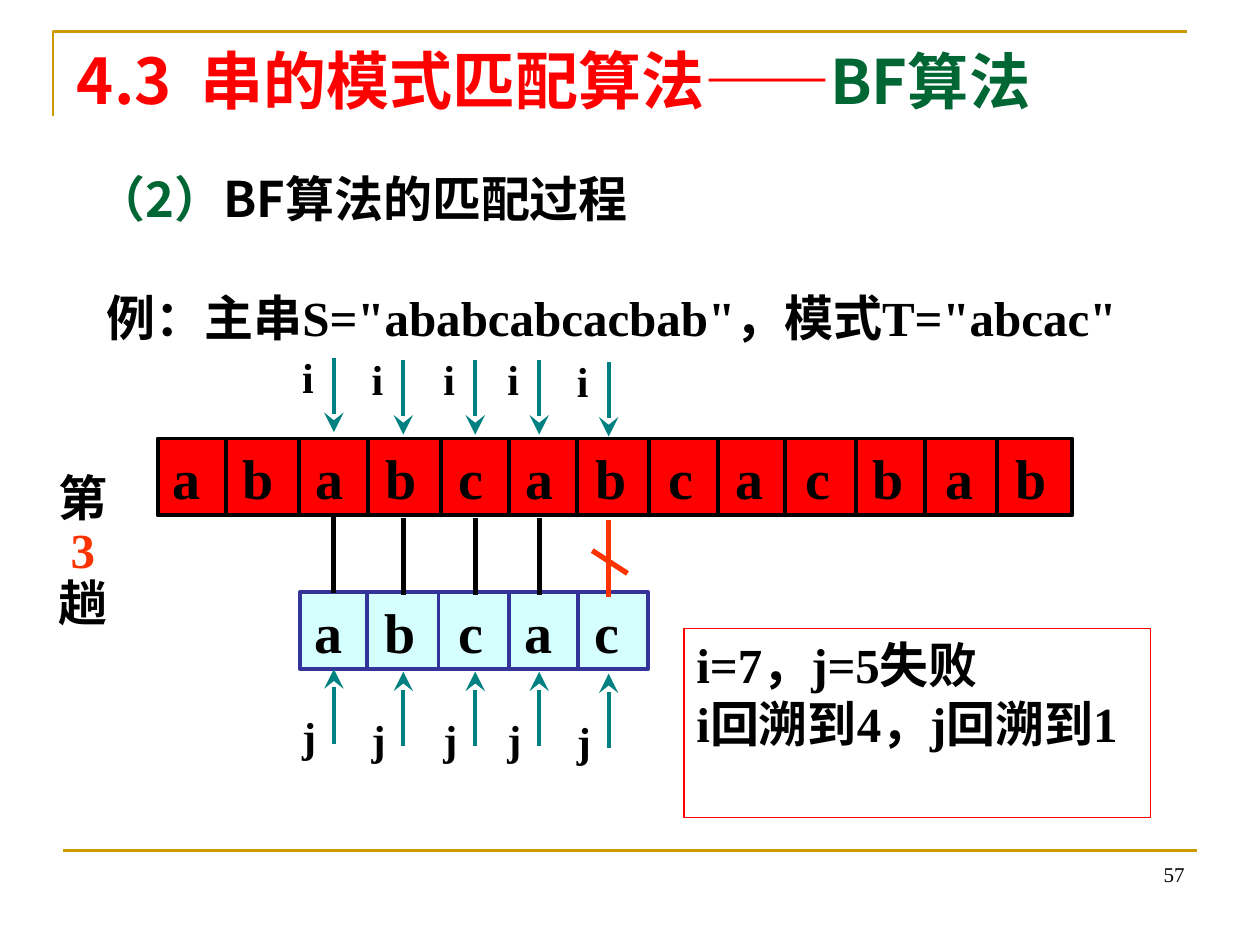
import pptx
import pptx.util
import pptx.dml.color
import pptx.enum.shapes
import pptx.enum.text
import pptx.oxml.ns
import lxml.etree
from dataclasses import dataclass

Cm = pptx.util.Cm
Pt = pptx.util.Pt
Align = pptx.enum.text.PP_ALIGN
Anchor = pptx.enum.text.MSO_ANCHOR
Kind = pptx.enum.shapes


@dataclass(frozen=True)
class Theme:
    serif: str = "Times New Roman"
    sans: str = "Noto Sans CJK SC"
    black: str = "000000"
    gold: str = "CC9900"
    red: str = "FF0000"
    green: str = "006633"
    teal: str = "008080"
    navy: str = "333399"
    ice: str = "D5FFFF"
    fail: str = "FF3300"
    title: float = 36
    name: float = 35
    cell: float = 32
    body: float = 28
    mark: float = 24
    page: float = 12


class Deck:
    def __init__(self, theme):
        self.theme = theme
        self.file = pptx.Presentation()
        self.file.slide_width, self.file.slide_height = Cm(25.4), Cm(19.05)
        self.slide = self.file.slides.add_slide(self.file.slide_layouts[6])

    def rgb(self, hue):
        return pptx.dml.color.RGBColor.from_string(hue)

    def tag(self, root, name, **attrs):
        return lxml.etree.SubElement(root, pptx.oxml.ns.qn(name), **attrs)

    def face(self, font, size, hue, name, bold):
        font.size, font.bold, font.name = Pt(size), bold, name
        font.color.rgb = self.rgb(hue)

    def asian(self, run, name):
        self.tag(run.font._element, "a:ea", typeface=name)

    def label(self, shape, paras, size, name=None, bold=True, align=Align.LEFT,
              anchor=Anchor.TOP, pads=(0.25, 0.13, 0.25, 0.13), gap=None, tabs=()):
        name = name or self.theme.serif
        frame = shape.text_frame
        frame.word_wrap, frame.vertical_anchor = True, anchor
        (frame.margin_left, frame.margin_top,
         frame.margin_right, frame.margin_bottom) = map(Cm, pads)
        for at, runs in enumerate(paras):
            para = frame.paragraphs[0] if at == 0 else frame.add_paragraph()
            para.alignment = align
            if gap:
                para.line_spacing = gap
            if tabs:
                stops = self.tag(para._p.get_or_add_pPr(), "a:tabLst")
                for stop in tabs:
                    self.tag(stops, "a:tab", pos=str(Pt(stop)), algn="l")
            hues = {hue for _, hue, *_ in runs}
            self.face(para.font, size, runs[0][1], name, bold)
            for text, hue, *own in runs:
                run = para.add_run()
                run.text = text
                if len(hues) > 1:
                    run.font.color.rgb = self.rgb(hue)
                if own:
                    run.font.size = Pt(own[0])
                if name == self.theme.sans:
                    self.asian(run, name)

    def text(self, box, paras, size, **look):
        shape = self.slide.shapes.add_textbox(*map(Cm, box))
        self.label(shape, paras, size, **look)

    def rect(self, box, fill, edge, width):
        shape = self.slide.shapes.add_shape(
            Kind.MSO_SHAPE.RECTANGLE, *map(Cm, box))
        shape.shadow.inherit = False
        if fill:
            shape.fill.solid()
            shape.fill.fore_color.rgb = self.rgb(fill)
        else:
            shape.fill.background()
        shape.line.color.rgb = self.rgb(edge)
        shape.line.width = Pt(width)
        return shape

    def line(self, start, end, hue, width, arrow=False):
        link = self.slide.shapes.add_connector(
            Kind.MSO_CONNECTOR.STRAIGHT, *map(Cm, start + end))
        link.line.color.rgb = self.rgb(hue)
        link.line.width = Pt(width)
        if arrow:
            self.tag(link.line._get_or_add_ln(), "a:tailEnd",
                     type="stealth", w="lg", len="lg")
        self.tag(link._element.spPr, "a:effectLst")

    def trace(self, points, hue, width):
        spots = [(Cm(x), Cm(y)) for x, y in points]
        build = self.slide.shapes.build_freeform(*spots[0])
        build.add_line_segments(spots[1:], close=False)
        shape = build.convert_to_shape()
        shape.shadow.inherit = False
        shape.fill.background()
        shape.line.color.rgb = self.rgb(hue)
        shape.line.width = Pt(width)

    def strip(self, box, word, cuts, fill, edge):
        steps = {"a": 40, "b": 41.8, "c": 38.2}
        tabs = [sum(steps[c] for c in word[:n]) for n in range(1, len(word))]
        shape = self.rect(box, fill, edge, 2.25)
        self.label(shape, [[("\t".join(word), self.theme.black)]],
                   self.theme.cell, anchor=Anchor.MIDDLE,
                   pads=(0.3, 0, 0.05, 0), tabs=tabs)
        top, high = box[1], box[3]
        for x in cuts:
            self.line((x, top), (x, top + high), edge, 2.25)

    def step(self, x, drop, match):
        look = self.theme
        hue = look.black if match else look.fail
        self.line((x, 10.39 + drop), (x, 11.95 + drop), hue, 3)
        if not match:
            self.trace([(x - 0.33, 11.1), (x + 0.38, 11.56)], hue, 3)
        for name, top, tail, head in (("i", 6.95, 7.21, 8.71),
                                      ("j", 14.2, 14.99, 13.49)):
            self.line((x, tail + drop), (x, head + drop), look.teal, 2.25, True)
            self.text((x - 0.64, top + drop, 0.64, 1.27), [[(name, look.black)]],
                      look.mark, pads=(0, 0.13, 0, 0.13))


def main():
    look = Theme()
    deck = Deck(look)
    deck.trace([(1.07, 2.34), (1.07, 0.64), (23.93, 0.64)], look.gold, 1.5)
    deck.line((1.27, 17.15), (24.13, 17.15), look.gold, 1.5)
    deck.text((18.21, 16.74, 5.92, 1.27), [[("57", look.black)]], look.page,
              bold=False, align=Align.RIGHT, anchor=Anchor.BOTTOM)
    deck.text((1.3, 0.71, 22.86, 2.31),
              [[("4.3  串的模式匹配算法——", look.red),
                ("BF算法", look.green, look.name)]], look.title, name=look.sans)
    deck.text((1.7, 2.92, 22.5, 2.39),
              [[("（2）", look.green), ("BF算法的匹配过程", look.black)]],
              look.body, name=look.sans, gap=1.3)
    deck.text((1.9, 5.66, 22.66, 1.45),
              [[('例：主串S="ababcabcacbab"，模式T="abcac"', look.black)]], look.body)

    deck.strip((3.18, 8.84, 18.44, 1.55), "ababcabcacbab",
               (4.55, 6.02, 7.42, 8.89, 10.26, 11.63, 13.08, 14.48, 15.82,
                17.25, 18.64, 20.09), look.red, look.black)
    deck.strip((6.05, 11.94, 7.01, 1.55), "abcac",
               (7.39, 8.84, 10.26, 11.66), look.ice, look.navy)
    for x, drop in ((6.73, 0), (8.13, 0.05), (9.58, 0.05), (10.87, 0.05),
                    (12.27, 0.09)):
        deck.step(x, drop, x < 12)

    note = deck.rect((13.79, 12.67, 9.4, 3.81), None, look.red, 0.75)
    deck.label(note, [[("i=7，j=5失败", look.black)],
                      [("i回溯到4，j回溯到1", look.black)]], look.body)
    deck.text((0.91, 9.42, 1.52, 3.45),
              [[("第", look.black)], [("3", look.fail)], [("趟", look.black)]],
              look.body, align=Align.CENTER, gap=0.9)
    deck.file.save("out.pptx")


if __name__ == "__main__":
    main()
